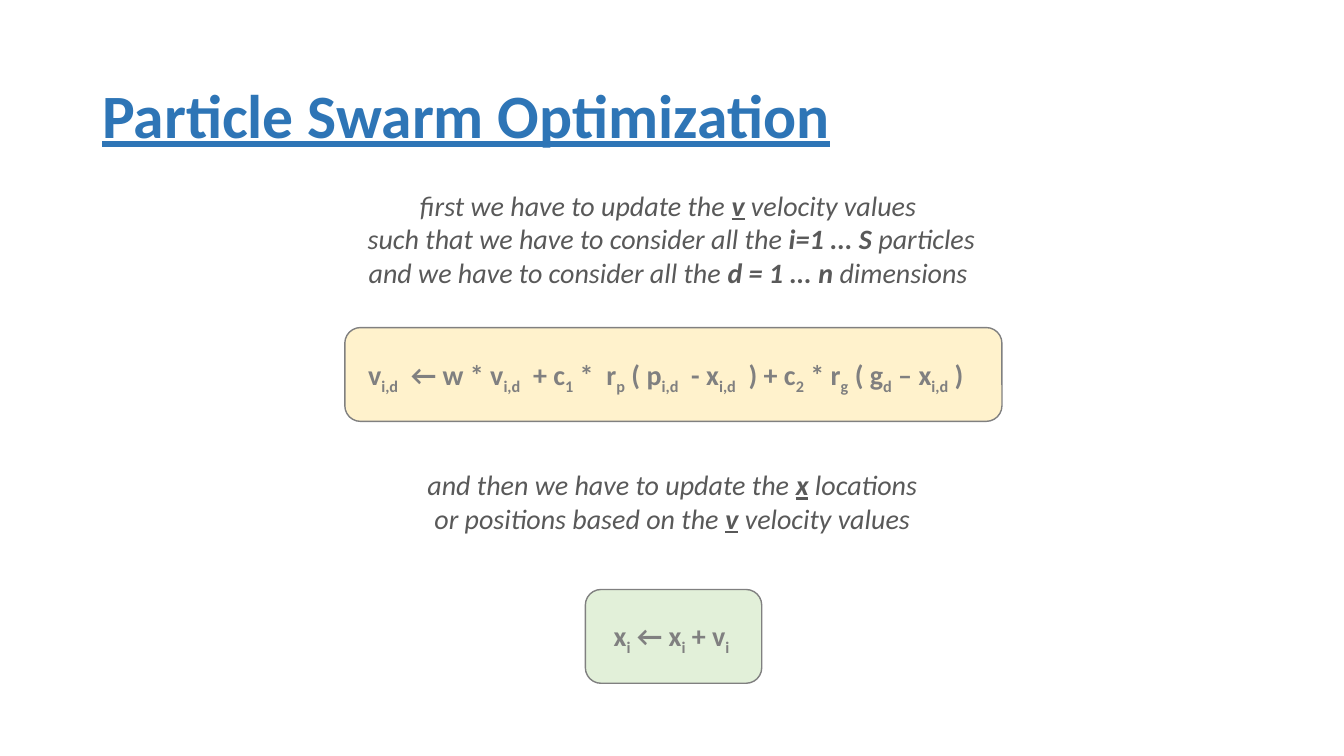
from pptx import Presentation
from pptx.dml.color import RGBColor
from pptx.enum.shapes import MSO_SHAPE as Shape
from pptx.enum.text import MSO_ANCHOR as Anchor, PP_ALIGN as Align
from pptx.util import Pt

THEME = {
    "font": "Calibri",
    "title": {"size": 44, "color": "2E75B6", "bold": True, "underline": True},
    "note": {"size": 20, "color": "595959", "italic": True},
    "formula": {"size": 20, "color": "808080", "bold": True},
    "outline": "808080",
    "velocity": "FFF2CC",
    "location": "E2F0D9",
}

# Each line is a list of (text, mark); marks: b bold, u underline, _ subscript
TITLE = [[("Particle Swarm Optimization", "")]]
VELOCITY_NOTE = [
    [("first we have to update the ", ""), ("v", "bu"), (" velocity values ", "")],
    [("such that we have to consider all the ", ""), ("i=1 ... S", "b"), (" particles", "")],
    [("and we have to consider all the ", ""), ("d = 1 ... n", "b"), (" dimensions ", "")],
]
LOCATION_NOTE = [
    [("and then we have to update the ", ""), ("x", "bu"), (" locations", "")],
    [("or positions based on the ", ""), ("v", "bu"), (" velocity values", "")],
]
VELOCITY_FORMULA = [[
    ("v", ""), ("i,d", "_"), ("  ← w * v", ""), ("i,d", "_"),
    ("  + c", ""), ("1", "_"), (" *  r", ""), ("p", "_"),
    (" ( p", ""), ("i,d", "_"), ("  - x", ""), ("i,d", "_"),
    ("  ) + c", ""), ("2", "_"), (" * r", ""), ("g", "_"),
    (" ( g", ""), ("d", "_"), (" – x", ""), ("i,d", "_"), (" )", ""),
]]
LOCATION_FORMULA = [[
    ("x", ""), ("i", "_"), (" ← x", ""), ("i", "_"), (" + v", ""), ("i", "_"),
]]

# Left, top, width, height in points
TEXTS = [
    (TITLE, "title", Align.LEFT, Anchor.MIDDLE, (66, 28.8, 828, 104.4)),
    (VELOCITY_NOTE, "note", Align.CENTER, Anchor.TOP, (249.1, 131, 460.8, 80)),
    (VELOCITY_FORMULA, "formula", Align.LEFT, Anchor.TOP, (255.8, 252, 464.9, 31.5)),
    (LOCATION_NOTE, "note", Align.CENTER, Anchor.TOP, (296.6, 330.5, 367.2, 55.5)),
    (LOCATION_FORMULA, "formula", Align.LEFT, Anchor.TOP, (431.3, 438.5, 108, 31.5)),
]
PANELS = [
    ("velocity", (246.3, 234, 469.4, 67)),
    ("location", (418.1, 421.1, 126, 67)),
]


def rgb(color):
    return RGBColor.from_string(color)


def add_panel(slide, name, box):
    panel = slide.shapes.add_shape(Shape.ROUNDED_RECTANGLE, *map(Pt, box))
    panel.shadow.inherit = False
    panel.fill.solid()
    panel.fill.fore_color.rgb = rgb(THEME[name])
    panel.line.color.rgb = rgb(THEME["outline"])
    panel.line.width = Pt(1)


def add_text(slide, lines, role, align, anchor, box):
    style = THEME[role]
    frame = slide.shapes.add_textbox(*map(Pt, box)).text_frame
    frame.word_wrap = True
    frame.vertical_anchor = anchor
    for number, line in enumerate(lines):
        paragraph = frame.add_paragraph() if number else frame.paragraphs[0]
        paragraph.alignment = align
        for text, mark in line:
            run = paragraph.add_run()
            run.text = text
            font = run.font
            font.name = THEME["font"]
            font.size = Pt(style["size"])
            font.color.rgb = rgb(style["color"])
            font.bold = style.get("bold", False) or "b" in mark
            font.italic = style.get("italic", False)
            font.underline = style.get("underline", False) or "u" in mark
            if "_" in mark:
                run._r.get_or_add_rPr().set("baseline", "-25000")


def main():
    deck = Presentation()
    deck.slide_width, deck.slide_height = Pt(960), Pt(540)
    slide = deck.slides.add_slide(deck.slide_layouts[6])
    for panel in PANELS:
        add_panel(slide, *panel)
    for text in TEXTS:
        add_text(slide, *text)
    deck.save("out.pptx")


if __name__ == "__main__":
    main()
